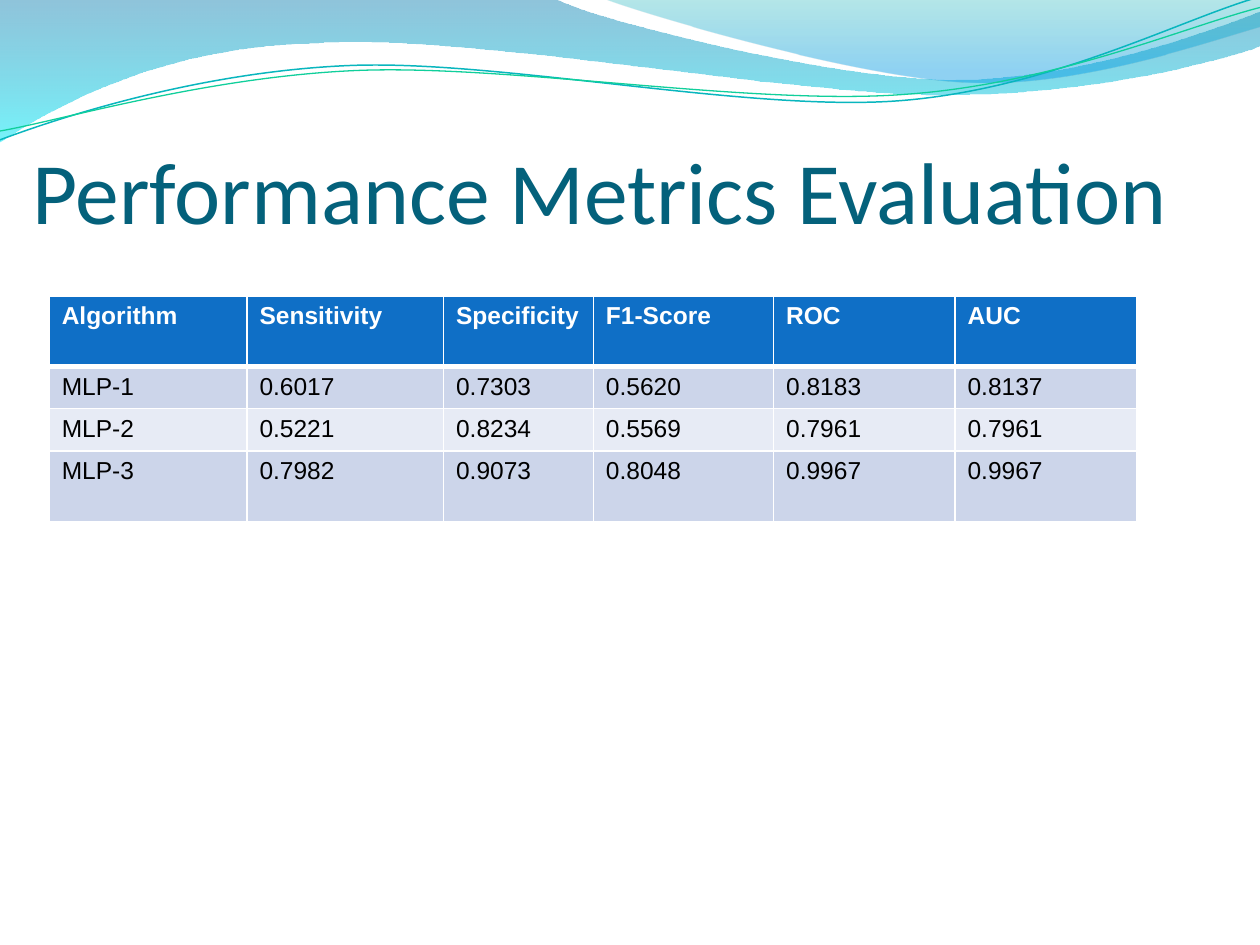
import copy
import math

import pptx
import pptx.dml.color
import pptx.enum.text
import pptx.oxml
import pptx.oxml.ns
import pptx.util
from pptx.util import Inches

RGBColor = pptx.dml.color.RGBColor
WHITE = RGBColor(0xFF, 0xFF, 0xFF)
BLACK = RGBColor(0x00, 0x00, 0x00)
TITLE_TEAL = RGBColor(0x04, 0x61, 0x7B)
HEADER_BLUE = RGBColor(0x0F, 0x6F, 0xC6)
BAND_DARK = RGBColor(0xCC, 0xD5, 0xEA)
BAND_LIGHT = RGBColor(0xE7, 0xEB, 0xF5)
WAVE_BLUE = RGBColor(0x00, 0x79, 0xAD)
WAVE_CYAN = RGBColor(0x00, 0xE9, 0xF7)
CREST_TEAL = RGBColor(0x00, 0xAB, 0xB4)
CREST_BLUE = RGBColor(0x00, 0x99, 0xE4)
LINE_TEAL = RGBColor(0x09, 0xB6, 0xBE)
LINE_GREEN = RGBColor(0x10, 0xCF, 0x9B)
LINE_ROTATION = 357.3


def add_wave(shapes, start, segments, close):
    """Draw a freeform; a 2-number segment is a line, a 6-number one a Bezier curve."""
    corners = [(Inches(segment[i]), Inches(segment[i + 1]))
               for segment in segments for i in range(0, len(segment), 2)]
    builder = shapes.build_freeform(Inches(start[0]), Inches(start[1]))
    builder.add_line_segments(corners, close=close)
    shape = builder.convert_to_shape()
    shape.shadow.inherit = False
    # Merge each three points of a curve into one Bezier element
    line_elements = iter(shape._element.findall(".//" + pptx.oxml.ns.qn("a:lnTo")))
    for segment in segments:
        targets = [next(line_elements) for _ in range(len(segment) // 2)]
        if len(targets) == 3:
            curve = pptx.oxml.parse_xml(f'<a:cubicBezTo {pptx.oxml.ns.nsdecls("a")}/>')
            targets[0].addprevious(curve)
            for target in targets:
                curve.append(target[0])
                target.getparent().remove(target)
    return shape


def turn_back(numbers, center):
    """Undo the rotation of the wave lines for a flat list of x, y numbers."""
    angle = math.radians(360 - LINE_ROTATION)
    turned = []
    for x, y in zip(numbers[::2], numbers[1::2]):
        dx, dy = x - center[0], y - center[1]
        turned += [center[0] + dx * math.cos(angle) - dy * math.sin(angle),
                   center[1] + dx * math.sin(angle) + dy * math.cos(angle)]
    return turned


presentation = pptx.Presentation()
presentation.slide_width = Inches(10)
presentation.slide_height = Inches(7.5)
slide = presentation.slides.add_slide(presentation.slide_layouts[6])

# Translucent gradient waves: start, segments, stops of (position, colour, opacity %)
filled_waves = [
    ((0, 0),
     [(4.4, -0.01), (4.76, 0.17, 6.64, 0.63, 7.58, 0.63), (8.53, 0.63, 9.58, 0.26, 10, 0.09),
      (10.01, 0.36), (9.83, 0.44, 8.7, 0.76, 7.46, 0.75), (6.22, 0.75, 3.82, 0.28, 2.57, 0.34),
      (1.29, 0.36, 0.46, 0.83, -0.01, 1.13), (0, 0)],
     [(0, WAVE_BLUE, 44), (1, WAVE_CYAN, 54)]),
    ((4.79, -0.01),
     [(5.09, 0.11, 6.82, 0.62, 7.69, 0.65), (8.56, 0.69, 9.61, 0.32, 10, 0.21), (10, 0),
      (4.79, -0.01)],
     [(0, CREST_TEAL, 29), (0.8, CREST_BLUE, 44), (1, CREST_BLUE, 44)]),
]
for start, segments, stops in filled_waves:
    wave = add_wave(slide.shapes, start, segments, True)
    wave.line.fill.background()
    wave.fill.gradient()
    wave.fill.gradient_angle = 270
    stop_list = wave._element.spPr.find(".//" + pptx.oxml.ns.qn("a:gsLst"))
    for _ in stops[2:]:
        stop_list.append(copy.deepcopy(stop_list[-1]))
    for stop, element, (position, color, opacity) in zip(
            wave.fill.gradient_stops, stop_list, stops):
        stop.position = position
        stop.color.rgb = color
        element[0].append(pptx.oxml.parse_xml(
            f'<a:alpha {pptx.oxml.ns.nsdecls("a")} val="{opacity * 1000}"/>'))

# Thin wave lines: centre, start, segments, colour, width
wave_lines = [
    ((4.99, 0.58), (0, 1.11),
     [(0.48, 0.93, 1.58, 0.57, 2.77, 0.52), (3.95, 0.47, 5.93, 0.89, 7.13, 0.8),
      (8.33, 0.71, 9.38, 0.15, 9.98, -0.02)], LINE_TEAL, 0.85),
    ((5, 0.59), (0, 1.04),
     [(0.47, 0.96, 1.64, 0.61, 2.83, 0.56), (4.03, 0.51, 5.97, 0.84, 7.17, 0.75),
      (8.36, 0.67, 9.41, 0.21, 10, 0.06)], LINE_GREEN, 0.75),
]
for center, start, segments, color, width in wave_lines:
    wave = add_wave(slide.shapes, turn_back(start, center),
                    [turn_back(segment, center) for segment in segments], False)
    wave.rotation = LINE_ROTATION
    wave.fill.background()
    wave.line.color.rgb = color
    wave.line.width = pptx.util.Pt(width)

# Title
title = slide.shapes.add_textbox(Inches(0.16), Inches(0.75), Inches(9.34), Inches(1.27))
frame_format = {"word_wrap": True, "vertical_anchor": pptx.enum.text.MSO_ANCHOR.BOTTOM}
for side in ("left", "right", "top", "bottom"):
    frame_format["margin_" + side] = Inches(0.1)
for name, value in frame_format.items():
    setattr(title.text_frame, name, value)
paragraph = title.text_frame.paragraphs[0]
paragraph.text = "Performance Metrics Evaluation"
title_format = {"name": "Calibri", "size": pptx.util.Pt(50)}
for name, value in title_format.items():
    setattr(paragraph.runs[0].font, name, value)
paragraph.runs[0].font.color.rgb = TITLE_TEAL

# Metrics table
metrics = [
    ("Algorithm", "Sensitivity", "Specificity", "F1-Score", "ROC", "AUC"),
    ("MLP-1", "0.6017", "0.7303", "0.5620", "0.8183", "0.8137"),
    ("MLP-2", "0.5221", "0.8234", "0.5569", "0.7961", "0.7961"),
    ("MLP-3", "0.7982", "0.9073", "0.8048", "0.9967", "0.9967"),
]
column_widths = [1.57, 1.56, 1.19, 1.43, 1.44, 1.44]
row_heights = [0.56, 0.33, 0.33, 0.56]
table = slide.shapes.add_table(len(metrics), len(column_widths), Inches(0.39), Inches(2.35),
                               Inches(sum(column_widths)), Inches(1.8)).table
for column, width in zip(table.columns, column_widths):
    column.width = Inches(width)
for row, height in zip(table.rows, row_heights):
    row.height = Inches(height)

# White header borders, thicker below; the table style draws the body borders
header_borders = {"lnL": 1, "lnR": 1, "lnT": 1, "lnB": 3}
for row_index, values in enumerate(metrics):
    is_header = row_index == 0
    cell_format = {"name": "Arial", "size": pptx.util.Pt(14), "bold": is_header}
    for column_index, value in enumerate(values):
        cell = table.cell(row_index, column_index)
        cell.text = value
        font = cell.text_frame.paragraphs[0].runs[0].font
        for name, setting in cell_format.items():
            setattr(font, name, setting)
        font.color.rgb = WHITE if is_header else BLACK
        for side, width in header_borders.items() if is_header else ():
            cell._tc.get_or_add_tcPr().append(pptx.oxml.parse_xml(
                f'<a:{side} {pptx.oxml.ns.nsdecls("a")} w="{pptx.util.Pt(width)}">'
                f'<a:solidFill><a:srgbClr val="{WHITE}"/></a:solidFill></a:{side}>'))
        cell.fill.solid()
        cell.fill.fore_color.rgb = HEADER_BLUE if is_header else (
            BAND_LIGHT, BAND_DARK)[row_index % 2]

presentation.save("out.pptx")
